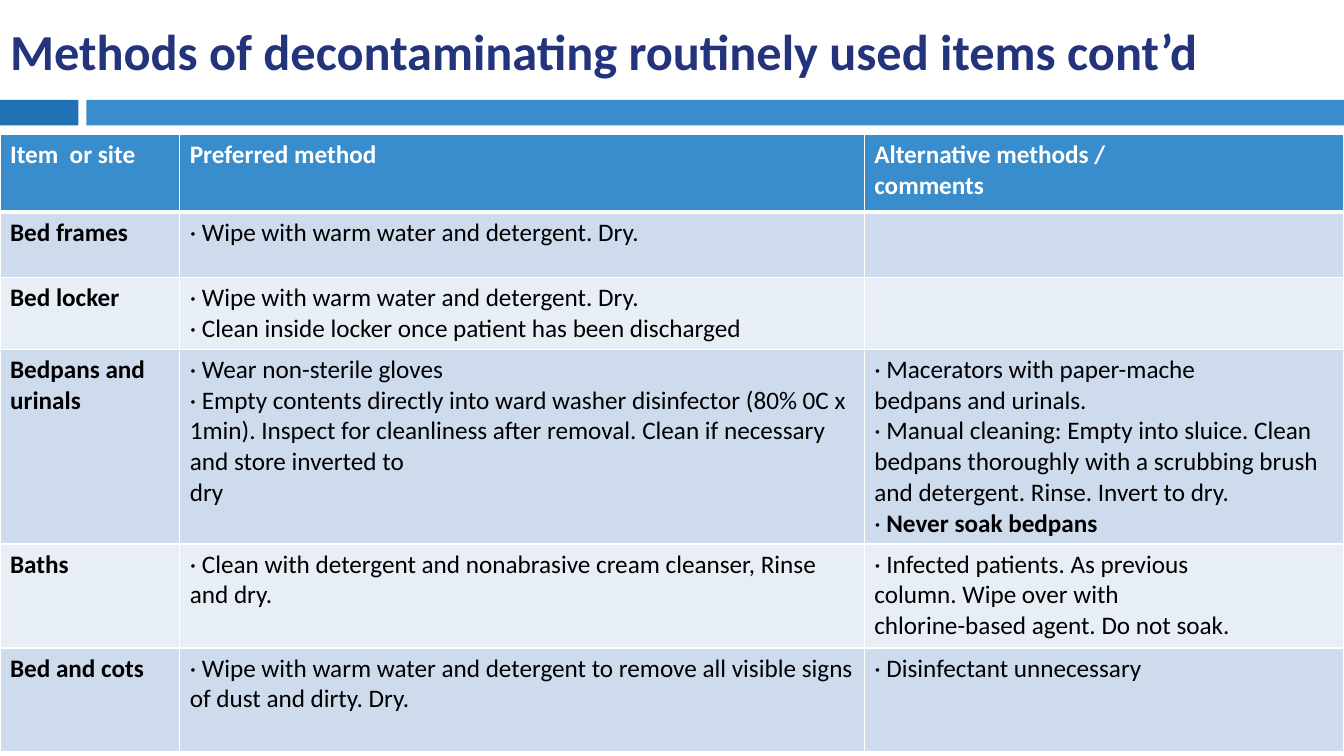
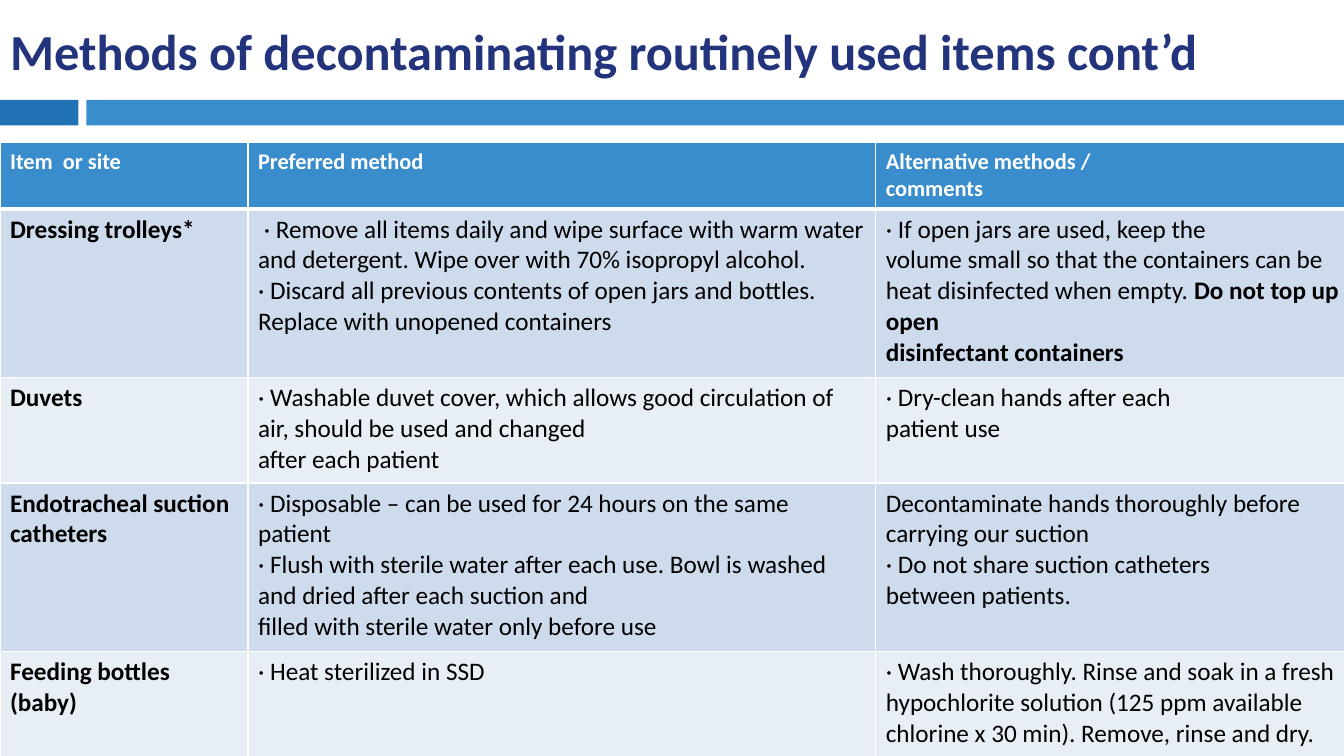
from dataclasses import dataclass

from lxml.etree import SubElement
from pptx import Presentation
from pptx.dml.color import RGBColor
from pptx.enum.shapes import MSO_SHAPE
from pptx.enum.text import MSO_ANCHOR, PP_ALIGN
from pptx.oxml.ns import qn
from pptx.util import Cm, Pt

COLORS = {
    "title": "23347D",
    "accent": "398DCD",
    "accent_dark": "2172B5",
    "row_odd": "CEDBED",
    "row_even": "E8EEF6",
    "text": "000000",
    "white": "FFFFFF",
}
FONT = "Calibri"
SLIDE_WIDTH, SLIDE_HEIGHT = 33.87, 19.05
TITLE = "Methods of decontaminating routinely used items cont’d"
TITLE_FRAME = {"left": Cm(0), "top": Cm(0.25), "width": Cm(SLIDE_WIDTH), "height": Cm(2.06)}
TITLE_FORMAT = {"name": FONT, "size": Pt(36), "bold": True}
HEADER = ("Item  or site", "Preferred method", "Alternative methods /\ncomments")
BODY_SIZE = 18
THIN, THICK = 1, 3
BOLD_MARK = "**"


@dataclass(frozen=True)
class Band:
    left: float
    width: float
    color: str
    top: float = 2.52
    height: float = 0.64


@dataclass(frozen=True)
class MethodRow:
    height: float
    item: str
    preferred: str
    alternative: str = ""


@dataclass(frozen=True)
class MethodTable:
    top: float
    header_height: float
    header_size: int
    widths: tuple[float, ...]
    rows: tuple[MethodRow, ...]


BANDS = (
    Band(0, 1.98, "accent_dark"),
    Band(2.18, SLIDE_WIDTH - 2.18, "accent"),
)

TABLES = (
    MethodTable(3.39, 1.96, 18, (4.53, 17.25, 12.08), (
        MethodRow(1.65, "Bed frames", "· Wipe with warm water and detergent. Dry."),
        MethodRow(
            1.78,
            "Bed locker",
            "· Wipe with warm water and detergent. Dry.\n"
            "· Clean inside locker once patient has been discharged",
        ),
        MethodRow(
            4.83,
            "Bedpans and urinals",
            "· Wear non-sterile gloves\n"
            "· Empty contents directly into ward washer disinfector (80% 0C x 1min). "
            "Inspect for cleanliness after removal. Clean if necessary and store inverted to\n"
            "dry",
            "· Macerators with paper-mache\n"
            "bedpans and urinals.\n"
            "· Manual cleaning: Empty into sluice. Clean bedpans thoroughly "
            "with a scrubbing brush and detergent. Rinse. Invert to dry.\n"
            "· **Never soak bedpans**",
        ),
        MethodRow(
            2.62,
            "Baths",
            "· Clean with detergent and nonabrasive cream cleanser, Rinse and dry.",
            "· Infected patients. As previous\n"
            "column. Wipe over with\n"
            "chlorine-based agent. Do not soak.",
        ),
        MethodRow(
            2.62,
            "Bed and cots",
            "· Wipe with warm water and detergent to remove all visible signs "
            "of dust and dirty. Dry.",
            "· Disinfectant unnecessary",
        ),
    )),
    MethodTable(3.6, 1.67, 16, (6.25, 15.82, 12.22), (
        MethodRow(
            4.25,
            "Dressing trolleys*",
            " · Remove all items daily and wipe surface with warm water and detergent. "
            "Wipe over with 70% isopropyl alcohol.\n"
            "· Discard all previous contents of open jars and bottles. "
            "Replace with unopened containers",
            "· If open jars are used, keep the\n"
            "volume small so that the containers can be heat disinfected when empty. "
            "**Do not top up open**\n"
            "**disinfectant containers**",
        ),
        MethodRow(
            2.65,
            "Duvets",
            "· Washable duvet cover, which allows good circulation of air, "
            "should be used and changed\n"
            "after each patient",
            "· Dry-clean hands after each\npatient use",
        ),
        MethodRow(
            4.25,
            "Endotracheal suction\ncatheters",
            "· Disposable – can be used for 24 hours on the same patient\n"
            "· Flush with sterile water after each use. "
            "Bowl is washed and dried after each suction and\n"
            "filled with sterile water only before use",
            "Decontaminate hands thoroughly before carrying our suction\n"
            "· Do not share suction catheters\n"
            "between patients.",
        ),
        MethodRow(
            2.65,
            "Feeding bottles (baby)",
            "· Heat sterilized in SSD",
            "· Wash thoroughly. Rinse and soak in a fresh hypochlorite solution "
            "(125 ppm available chlorine x 30 min). Remove, rinse and dry.",
        ),
    )),
)


def color_of(name: str) -> RGBColor:
    return RGBColor.from_string(COLORS[name])


def apply_format(target, values: dict) -> None:
    for name, value in values.items():
        setattr(target, name, value)


def add_band(page, band: Band):
    shape = page.shapes.add_shape(
        MSO_SHAPE.RECTANGLE, Cm(band.left), Cm(band.top), Cm(band.width), Cm(band.height)
    )
    shape.shadow.inherit = False
    shape.fill.solid()
    shape.fill.fore_color.rgb = color_of(band.color)
    shape.line.fill.background()
    return shape


def prepare_layout(layout, page) -> None:
    for holder in list(layout.placeholders)[1:]:
        holder.element.getparent().remove(holder.element)
    apply_format(layout.placeholders[0], TITLE_FRAME)
    bands = [add_band(page, band) for band in BANDS]
    for shape in bands:
        layout.shapes.element.append(shape.element)


def write_title(page) -> None:
    box = page.shapes.title
    apply_format(box, TITLE_FRAME)
    frame = box.text_frame
    frame.vertical_anchor = MSO_ANCHOR.MIDDLE
    para = frame.paragraphs[0]
    para.alignment = PP_ALIGN.LEFT
    span = para.add_run()
    span.text = TITLE
    apply_format(span.font, TITLE_FORMAT)
    span.font.color.rgb = color_of("title")


def write_cell(cell, text: str, size: int, color: str, bold: bool) -> None:
    frame = cell.text_frame
    for index, line in enumerate(text.split("\n")):
        para = frame.paragraphs[0] if index == 0 else frame.add_paragraph()
        apply_format(para.font, {"name": FONT, "size": Pt(size)})
        for part, words in enumerate(line.split(BOLD_MARK)):
            if not words:
                continue
            span = para.add_run()
            span.text = words
            values = {"name": FONT, "size": Pt(size), "bold": bold or part % 2 == 1}
            apply_format(span.font, values)
            span.font.color.rgb = color_of(color)


def style_cell(cell, fill: str, row_index: int) -> None:
    widths = {
        "lnL": THIN,
        "lnR": THIN,
        "lnT": THICK if row_index == 1 else THIN,
        "lnB": THICK if row_index == 0 else THIN,
    }
    properties = cell._tc.get_or_add_tcPr()
    for tag, width in widths.items():
        line = SubElement(properties, qn(f"a:{tag}"), w=str(Pt(width)))
        solid = SubElement(line, qn("a:solidFill"))
        SubElement(solid, qn("a:srgbClr"), val=COLORS["white"])
    cell.fill.solid()
    cell.fill.fore_color.rgb = color_of(fill)


def add_method_table(page, content: MethodTable) -> None:
    heights = [content.header_height] + [row.height for row in content.rows]
    texts = [HEADER] + [(row.item, row.preferred, row.alternative) for row in content.rows]
    table = page.shapes.add_table(
        len(texts), len(HEADER), Cm(0), Cm(content.top),
        Cm(sum(content.widths)), Cm(sum(heights)),
    ).table
    table.horz_banding = False
    for column, width in zip(table.columns, content.widths):
        column.width = Cm(width)
    for row_index, (height, row_texts) in enumerate(zip(heights, texts)):
        table.rows[row_index].height = Cm(height)
        is_header = row_index == 0
        fill = "accent" if is_header else ("row_odd" if row_index % 2 else "row_even")
        size = content.header_size if is_header else BODY_SIZE
        color = "white" if is_header else "text"
        for column_index, text in enumerate(row_texts):
            cell = table.cell(row_index, column_index)
            style_cell(cell, fill, row_index)
            write_cell(cell, text, size, color, is_header or column_index == 0)


def main() -> None:
    deck = Presentation()
    apply_format(deck, {"slide_width": Cm(SLIDE_WIDTH), "slide_height": Cm(SLIDE_HEIGHT)})
    layout = deck.slide_layouts.get_by_name("Title Only")
    pages = [deck.slides.add_slide(layout) for _ in TABLES]
    prepare_layout(layout, pages[0])
    for page, content in zip(pages, TABLES):
        write_title(page)
        add_method_table(page, content)
    deck.save("out.pptx")


if __name__ == "__main__":
    main()
